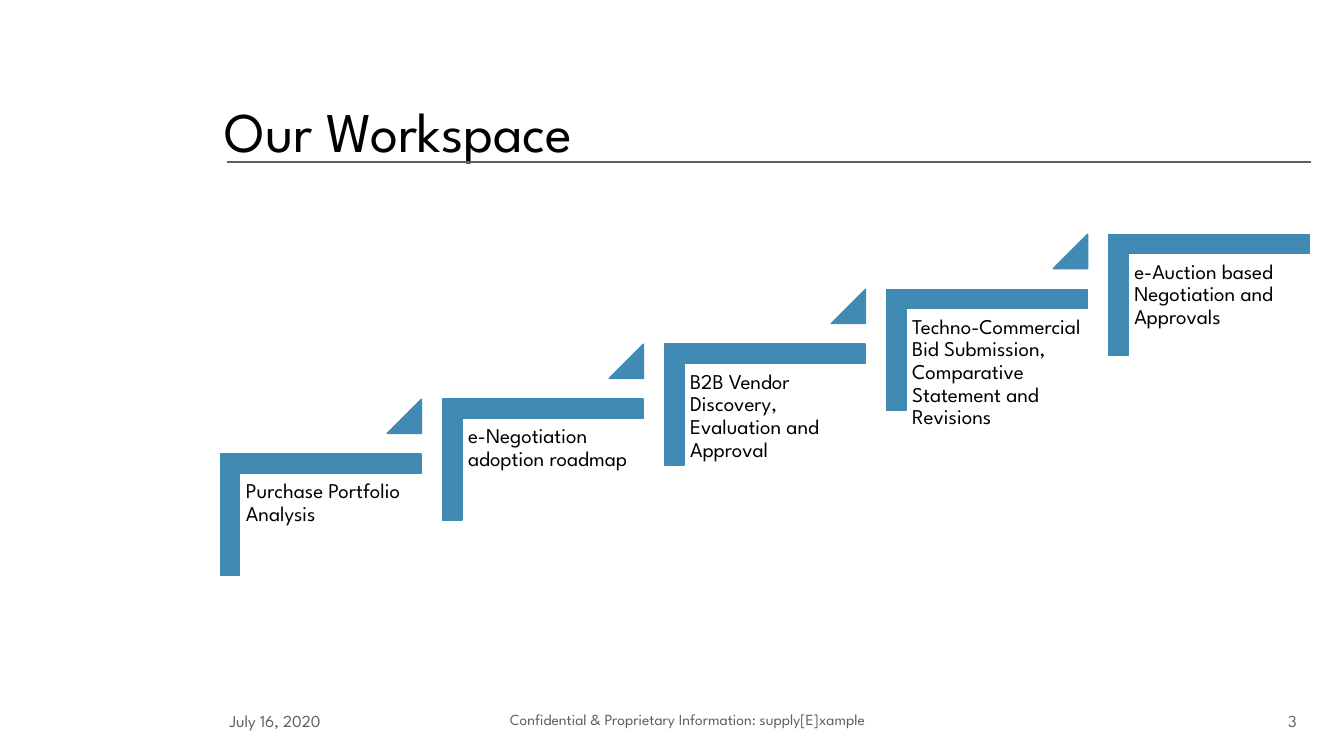
from dataclasses import dataclass

from lxml import etree
from pptx import Presentation, util as u
from pptx.dml.color import RGBColor
from pptx.enum import shapes, text
from pptx.oxml.ns import qn

FONT = "League Spartan"
COLORS = {"step": "418AB3", "ink": "000000", "muted": "5E5E5E"}

STEPS = [
    "Purchase Portfolio Analysis",
    "e-Negotiation adoption roadmap",
    "B2B Vendor Discovery, Evaluation and Approval",
    "Techno-Commercial Bid Submission, Comparative Statement and Revisions",
    "e-Auction based Negotiation and Approvals",
]
STEP_RUN = 8.81 / 4
STEP_RISE = 2.18 / 4


@dataclass
class Footer:
    wording: str
    left: float
    width: float
    size: int
    align: text.PP_ALIGN = text.PP_ALIGN.LEFT


FOOTERS = [
    Footer("July 16, 2020", 2.18, 2.78, 12),
    Footer("Confidential & Proprietary Information: supply[E]xample", 4.96, 6.8, 11),
    Footer("3", 11.75, 1.21, 12, text.PP_ALIGN.RIGHT),
]


def color(name: str) -> RGBColor:
    return RGBColor.from_string(COLORS[name])


def write(sp, wording: str, size: int, ink: str, inset: tuple[float, float],
          align=text.PP_ALIGN.LEFT, spacing: float = 1.0,
          anchor=text.MSO_ANCHOR.TOP) -> None:
    """Fill a shape with one paragraph; inset is (horizontal, vertical)."""
    tf = sp.text_frame
    tf.text = wording
    tf.word_wrap = True
    tf.auto_size = text.MSO_AUTO_SIZE.NONE
    tf.vertical_anchor = anchor
    tf.margin_left = tf.margin_right = u.Inches(inset[0])
    tf.margin_top = tf.margin_bottom = u.Inches(inset[1])
    p = tf.paragraphs[0]
    p.alignment = align
    p.line_spacing = spacing
    font = p.runs[0].font
    font.name = FONT
    font.size = u.Pt(size)
    font.color.rgb = color(ink)


def add_box(s, left: float, top: float, width: float, height: float):
    return s.shapes.add_textbox(u.Inches(left), u.Inches(top),
                                u.Inches(width), u.Inches(height))


def add_solid(s, kind, left: float, top: float, width: float, height: float,
              adjustments: list[float]):
    sp = s.shapes.add_shape(kind, u.Inches(left), u.Inches(top),
                            u.Inches(width), u.Inches(height))
    sp.shadow.inherit = False
    sp.fill.solid()
    sp.fill.fore_color.rgb = color("step")
    sp.line.color.rgb = color("step")
    sp.line.width = u.Pt(1)
    for i, value in enumerate(adjustments):
        sp.adjustments[i] = value
    return sp


def add_title(s) -> None:
    title = s.shapes.title
    title.left, title.top = u.Inches(2.1), u.Inches(0.17)
    title.width, title.height = u.Inches(10.31), u.Inches(1.53)
    write(title, "Our Workspace", 40, "ink", (0.13, 0.07), spacing=0.85,
          anchor=text.MSO_ANCHOR.BOTTOM)
    rule = s.shapes.add_connector(shapes.MSO_CONNECTOR.STRAIGHT, u.Inches(2.25),
                                  u.Inches(1.61), u.Inches(13), u.Inches(1.61))
    rule.line.color.rgb = color("muted")
    rule.line.width = u.Pt(1.5)
    etree.SubElement(rule._element.spPr, qn("a:effectLst"))


def add_step(s, index: int, wording: str) -> None:
    dx, dy = index * STEP_RUN, -index * STEP_RISE
    corner = add_solid(s, shapes.MSO_SHAPE.HALF_FRAME, 2.58 + dx, 4.11 + dy,
                       1.2, 1.99, [0.161, 0.161])
    # The square-ended "corner" preset has no enum member; it shares both adjustments.
    corner._element.spPr.find(qn("a:prstGeom")).set("prst", "corner")
    corner.rotation = 90
    label = add_box(s, 2.38 + dx, 4.71 + dy, 1.8, 1.58)
    write(label, wording, 15, "ink", (0.06, 0.06), spacing=0.9)
    if index < len(STEPS) - 1:
        add_solid(s, shapes.MSO_SHAPE.ISOSCELES_TRIANGLE, 3.84 + dx, 3.96 + dy,
                  0.34, 0.34, [1])


def main() -> None:
    prs = Presentation()
    prs.slide_width, prs.slide_height = u.Inches(13.33), u.Inches(7.5)
    s = prs.slides.add_slide(prs.slide_layouts[5])
    add_title(s)
    for index, wording in enumerate(STEPS):
        add_step(s, index, wording)
    for footer in FOOTERS:
        box = add_box(s, footer.left, 7, footer.width, 0.35)
        write(box, footer.wording, footer.size, "muted", (0.1, 0.05), footer.align)
    prs.save("out.pptx")


if __name__ == "__main__":
    main()
